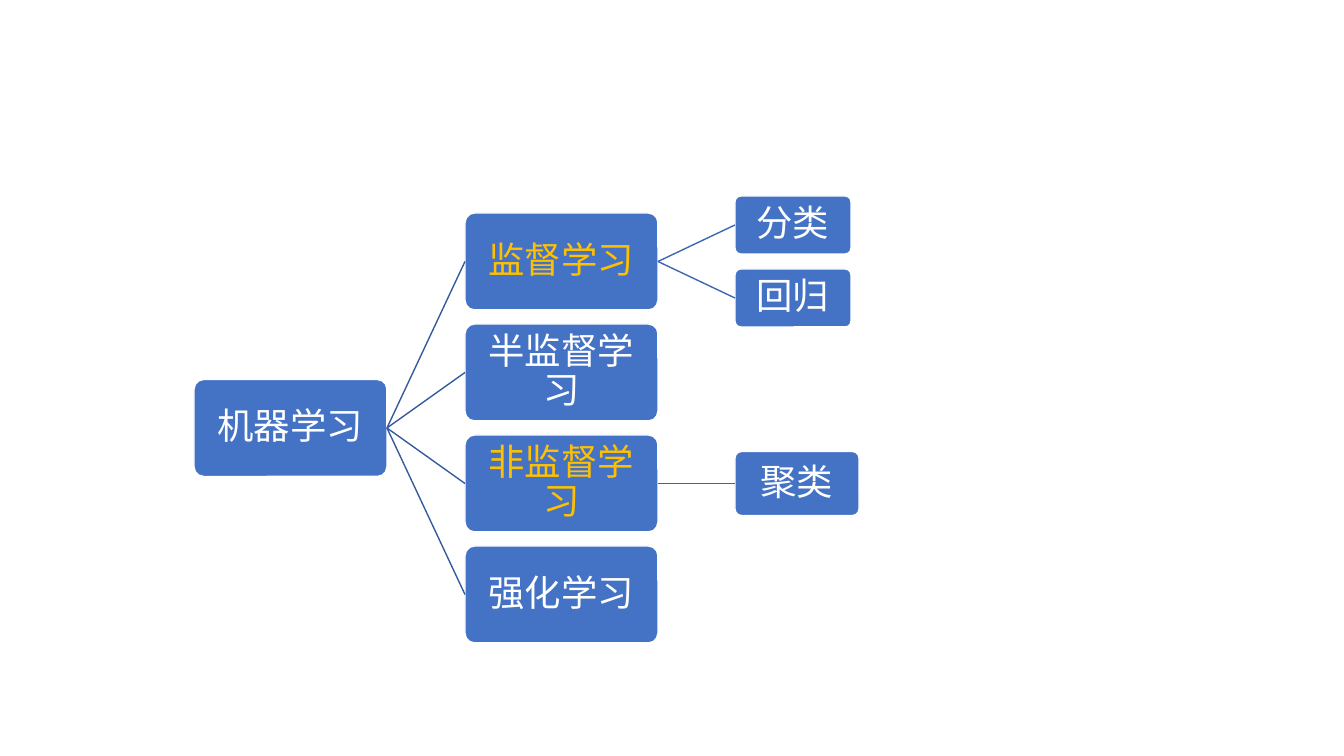
from pptx import Presentation, util as u
from pptx.dml.color import RGBColor
from pptx.enum import shapes, text
from pptx.oxml.ns import qn
from lxml import etree

# Content: (label, highlighted, leaf size, leaves)
ROOT = "机器学习"
BRANCHES = [
    ("监督学习", True, (116, 58), ["分类", "回归"]),
    ("半监督学习", False, None, []),
    ("非监督学习", True, (124, 64), ["聚类"]),
    ("强化学习", False, None, []),
]

# Layout in px
SLIDE_SIZE = (1344, 756)
COLUMNS = (194, 465, 735)
ROOT_MIDDLE = 428
BOX_SIZE = (193, 97)
BRANCH_PITCH = 111
LEAF_PITCH = 73

FONT = "Noto Sans CJK SC"
WHITE = RGBColor(0xFF, 0xFF, 0xFF)
GOLD = RGBColor(0xFF, 0xC0, 0x00)
BLUE = RGBColor(0x44, 0x72, 0xC4)
BRANCH_LINE = RGBColor(0x36, 0x5B, 0x9D)
LEAF_LINE = RGBColor(0x3E, 0x67, 0xB2)


def px(length):
    return u.Inches(length / 100.8)


def write(shape, label, size=26, color=WHITE):
    frame = shape.text_frame
    frame.word_wrap = True
    frame.vertical_anchor = text.MSO_ANCHOR.MIDDLE
    frame.margin_left = frame.margin_right = px(5)
    frame.margin_top = frame.margin_bottom = px(5)
    para = frame.paragraphs[0]
    para.alignment = text.PP_ALIGN.CENTER
    para.line_spacing = 0.9
    span = para.add_run()
    span.text = label
    span.font.size = u.Pt(size)
    span.font.name = FONT
    span.font.color.rgb = color
    etree.SubElement(span.font._element, qn("a:ea")).set("typeface", FONT)


def add_box(label, column, middle, size=BOX_SIZE, color=WHITE):
    width, height = size
    box = page.shapes.add_shape(
        shapes.MSO_SHAPE.ROUNDED_RECTANGLE,
        px(COLUMNS[column]), px(middle - height / 2), px(width), px(height))
    box.adjustments[0] = 0.1
    box.shadow.inherit = False
    box.fill.solid()
    box.fill.fore_color.rgb = BLUE
    box.line.color.rgb = WHITE
    box.line.width = u.Pt(1)
    write(box, label, color=color)
    return box


def join(parent, child, color):
    link = page.shapes.add_connector(shapes.MSO_CONNECTOR.STRAIGHT, 0, 0, 0, 0)
    link.begin_connect(parent, 3)
    link.end_connect(child, 1)
    link.line.color.rgb = color
    link.line.width = u.Pt(1)
    etree.SubElement(link._element.spPr, qn("a:effectLst"))


def spread(count, middle, pitch):
    """Middles of equally spaced boxes, centred on their parent."""
    return [middle + (i - (count - 1) / 2) * pitch for i in range(count)]


deck = Presentation()
deck.slide_width, deck.slide_height = map(px, SLIDE_SIZE)
page = deck.slides.add_slide(deck.slide_layouts[6])

# Tree, from root to leaves
root = add_box(ROOT, 0, ROOT_MIDDLE)
branch_middles = spread(len(BRANCHES), ROOT_MIDDLE, BRANCH_PITCH)
for (label, highlighted, leaf_size, leaves), middle in zip(BRANCHES, branch_middles):
    branch = add_box(label, 1, middle, color=GOLD if highlighted else WHITE)
    join(root, branch, BRANCH_LINE)
    for leaf_label, leaf_middle in zip(leaves, spread(len(leaves), middle, LEAF_PITCH)):
        leaf = add_box(leaf_label, 2, leaf_middle, leaf_size)
        join(branch, leaf, LEAF_LINE)

deck.save("out.pptx")
